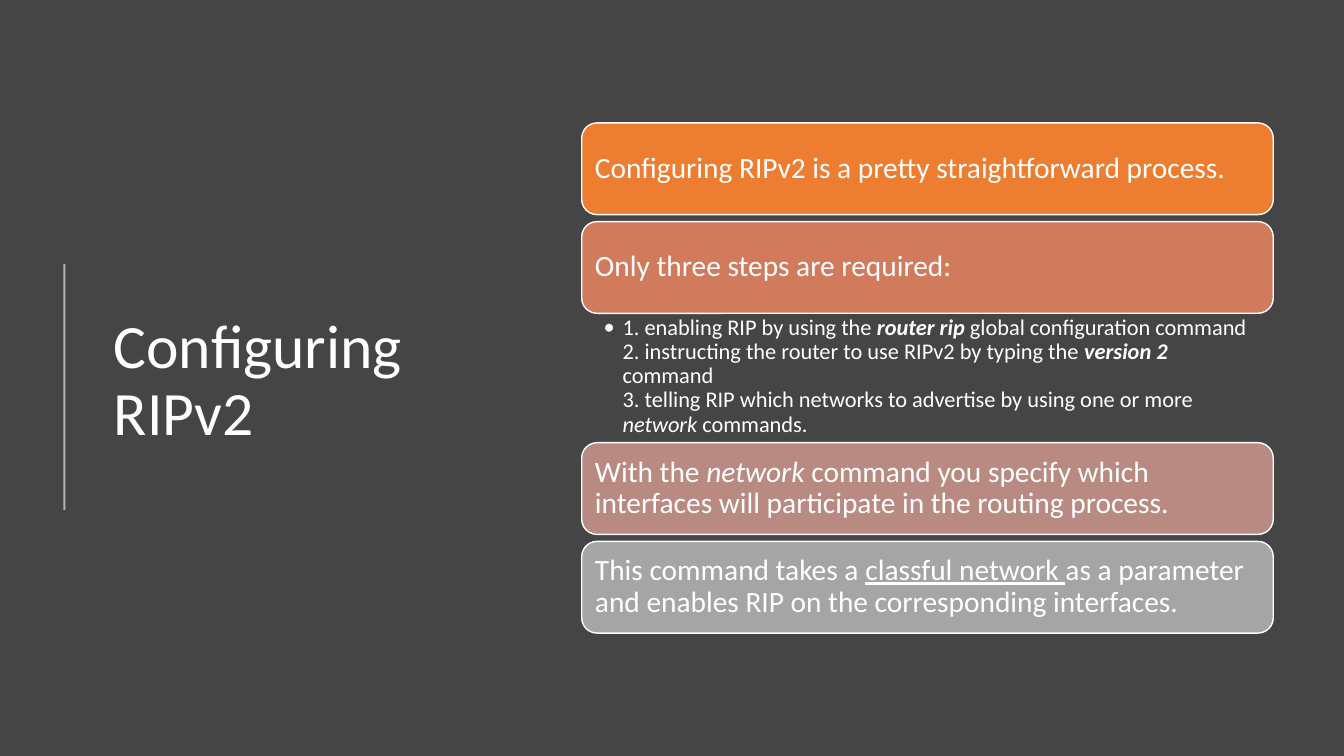
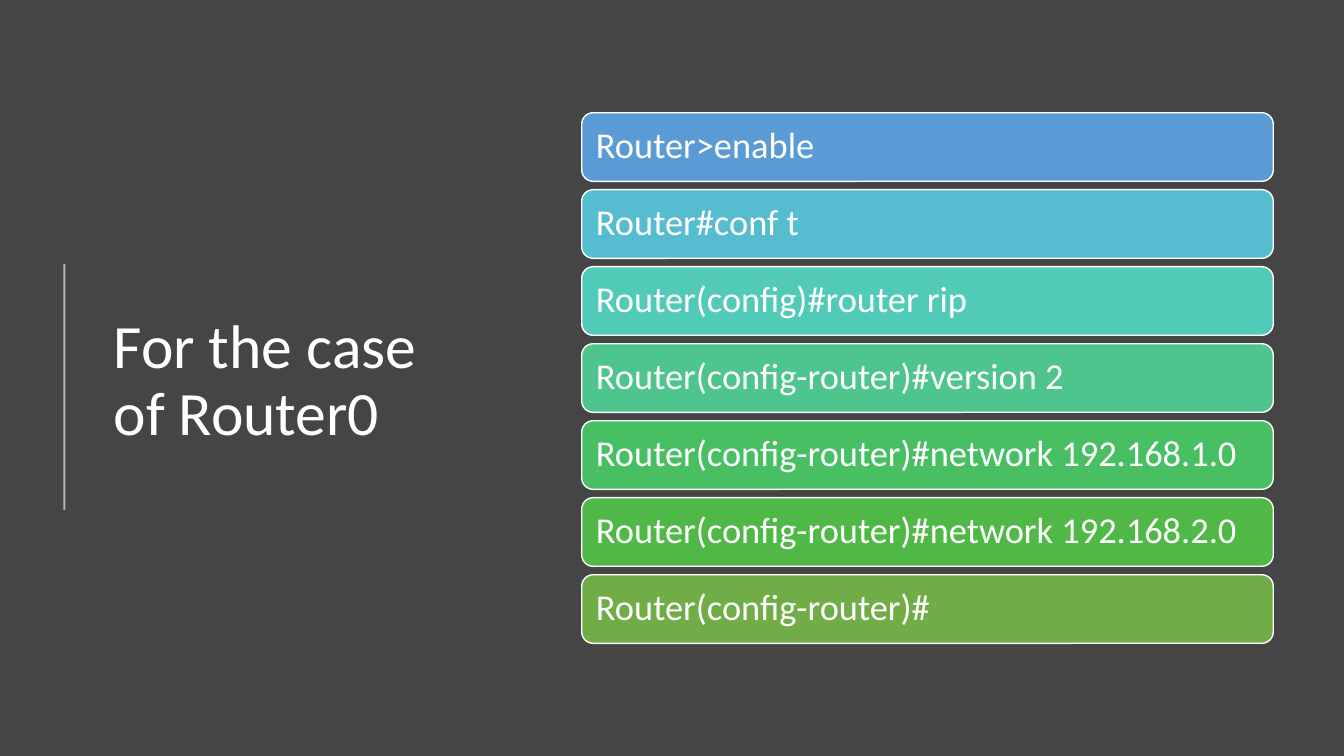
from pptx import Presentation
from pptx.dml.color import RGBColor
from pptx.enum.shapes import MSO_CONNECTOR as Connector, MSO_SHAPE as Shape
from pptx.enum.text import MSO_ANCHOR as Anchor, MSO_AUTO_SIZE as AutoSize, PP_ALIGN as Align
from pptx.oxml.ns import qn
from pptx.util import Pt
from lxml.etree import SubElement

WHITE = RGBColor(0xFF, 0xFF, 0xFF)
CHARCOAL = RGBColor(0x45, 0x45, 0x45)
ORANGE = RGBColor(0xED, 0x7D, 0x31)
TERRACOTTA = RGBColor(0xD1, 0x7B, 0x5C)
ROSE = RGBColor(0xB9, 0x8A, 0x82)
GRAY = RGBColor(0xA5, 0xA5, 0xA5)
BLUE = RGBColor(0x5B, 0x9B, 0xD5)
CYAN = RGBColor(0x56, 0xBC, 0xD0)
TURQUOISE = RGBColor(0x52, 0xCA, 0xB8)
MINT = RGBColor(0x4D, 0xC5, 0x8D)
EMERALD = RGBColor(0x49, 0xBF, 0x64)
GREEN = RGBColor(0x50, 0xB8, 0x46)
OLIVE = RGBColor(0x70, 0xAD, 0x47)

FONT = "Calibri"
SLIDE_WIDTH, SLIDE_HEIGHT = 960, 540
STACK_LEFT, STACK_WIDTH = 415.5, 494
STEPS_HEIGHT = 92.4
TITLE_ONLY, TITLE_AND_BODY = 5, 1

STEPS = [
    ("1. enabling RIP by using the ", ""),
    ("router rip ", "bi"),
    ("global configuration command\n2. instructing the router to use RIPv2 by typing the ", ""),
    ("version 2", "bi"),
    (" command\n3. telling RIP which networks to advertise by using one or more ", ""),
    ("network", "i"),
    (" commands.", ""),
]

SLIDES = [
    {
        "title": "Configuring RIPv2",
        "size": 21, "height": 65.5, "gap": 5,
        "bars": [
            (ORANGE, [("Configuring RIPv2 is a pretty straightforward process.", "")], None),
            (TERRACOTTA, [("Only three steps are required:", "")], STEPS),
            (ROSE, [
                ("With the ", ""),
                ("network", "i"),
                (" command you specify which interfaces will participate in the routing process.", ""),
            ], None),
            (GRAY, [
                ("This command takes a ", ""),
                ("classful network ", "u"),
                ("as a parameter and enables RIP on the corresponding interfaces.", ""),
            ], None),
        ],
    },
    {
        "title": "For the case of Router0",
        "size": 26, "height": 49, "gap": 6,
        "bars": [
            (BLUE, [("Router>enable", "")], None),
            (CYAN, [("Router#conf t", "")], None),
            (TURQUOISE, [("Router(config)#router rip", "")], None),
            (MINT, [("Router(config-router)#version 2", "")], None),
            (EMERALD, [("Router(config-router)#network 192.168.1.0", "")], None),
            (GREEN, [("Router(config-router)#network 192.168.2.0", "")], None),
            (OLIVE, [("Router(config-router)#", "")], None),
        ],
    },
]


def place(box, left, top, width, height):
    box.left, box.top, box.width, box.height = map(Pt, (left, top, width, height))


def write(box, spans, size, anchor=Anchor.MIDDLE, insets=(7.2, 3.6, 7.2, 3.6), indent=0):
    frame = box.text_frame
    frame.word_wrap = True
    frame.auto_size = AutoSize.NONE
    frame.vertical_anchor = anchor
    (frame.margin_left, frame.margin_top,
     frame.margin_right, frame.margin_bottom) = map(Pt, insets)
    para = frame.paragraphs[0]
    para.alignment = Align.LEFT
    para.line_spacing = 0.9
    para.space_before = Pt(0)
    if indent:
        properties = para._p.get_or_add_pPr()
        properties.set("marL", str(Pt(indent)))
        properties.set("indent", str(Pt(-indent)))
        SubElement(properties, qn("a:buFont")).set("typeface", FONT)
        SubElement(properties, qn("a:buChar")).set("char", "•")
    for text, style in spans:
        for number, line in enumerate(text.split("\n")):
            if number:
                para.add_line_break()
            span = para.add_run()
            span.text = line
            font = span.font
            font.name, font.size = FONT, Pt(size)
            font.color.rgb = WHITE
            font.bold = "b" in style
            font.italic = "i" in style
            font.underline = "u" in style


def add_rule(page):
    rule = page.shapes.add_connector(Connector.STRAIGHT, Pt(46), Pt(188.6), Pt(46), Pt(364.3))
    rule.line.width = Pt(1.5)
    rule.line.color.rgb = WHITE
    properties = rule._element.spPr
    SubElement(properties, qn("a:effectLst"))
    color = properties.find(".//" + qn("a:srgbClr"))
    SubElement(color, qn("a:alpha")).set("val", "60000")


def add_bar(page, top, height, color, spans, size):
    bar = page.shapes.add_shape(
        Shape.ROUNDED_RECTANGLE, Pt(STACK_LEFT), Pt(top), Pt(STACK_WIDTH), Pt(height))
    bar.shadow.inherit = False
    bar.fill.solid()
    bar.fill.fore_color.rgb = color
    bar.line.color.rgb = WHITE
    bar.line.width = Pt(1)
    write(bar, spans, size, insets=(size * 0.3,) * 4)


def add_page(deck, content):
    bars, height, gap = content["bars"], content["height"], content["gap"]
    spaces = [STEPS_HEIGHT if steps else gap for _, _, steps in bars]
    layout = TITLE_AND_BODY if any(steps for _, _, steps in bars) else TITLE_ONLY
    page = deck.slides.add_slide(deck.slide_layouts[layout])
    title = page.shapes.title
    place(title, 74, 56, 266, 433.5)
    write(title, [(content["title"], "")], 44)
    add_rule(page)
    top = (SLIDE_HEIGHT - len(bars) * height - sum(spaces[:-1])) / 2
    for (color, spans, steps), space in zip(bars, spaces):
        add_bar(page, top, height, color, spans, content["size"])
        top += height
        if steps:
            body = page.placeholders[1]
            place(body, STACK_LEFT, top, STACK_WIDTH, STEPS_HEIGHT)
            write(body, steps, 16, anchor=Anchor.TOP, insets=(15.7, 2, 11.4, 2), indent=13.5)
        top += space


def main():
    deck = Presentation()
    deck.slide_width, deck.slide_height = Pt(SLIDE_WIDTH), Pt(SLIDE_HEIGHT)
    fill = deck.slide_master.background.fill
    fill.solid()
    fill.fore_color.rgb = CHARCOAL
    for content in SLIDES:
        add_page(deck, content)
    deck.save("out.pptx")


if __name__ == "__main__":
    main()
